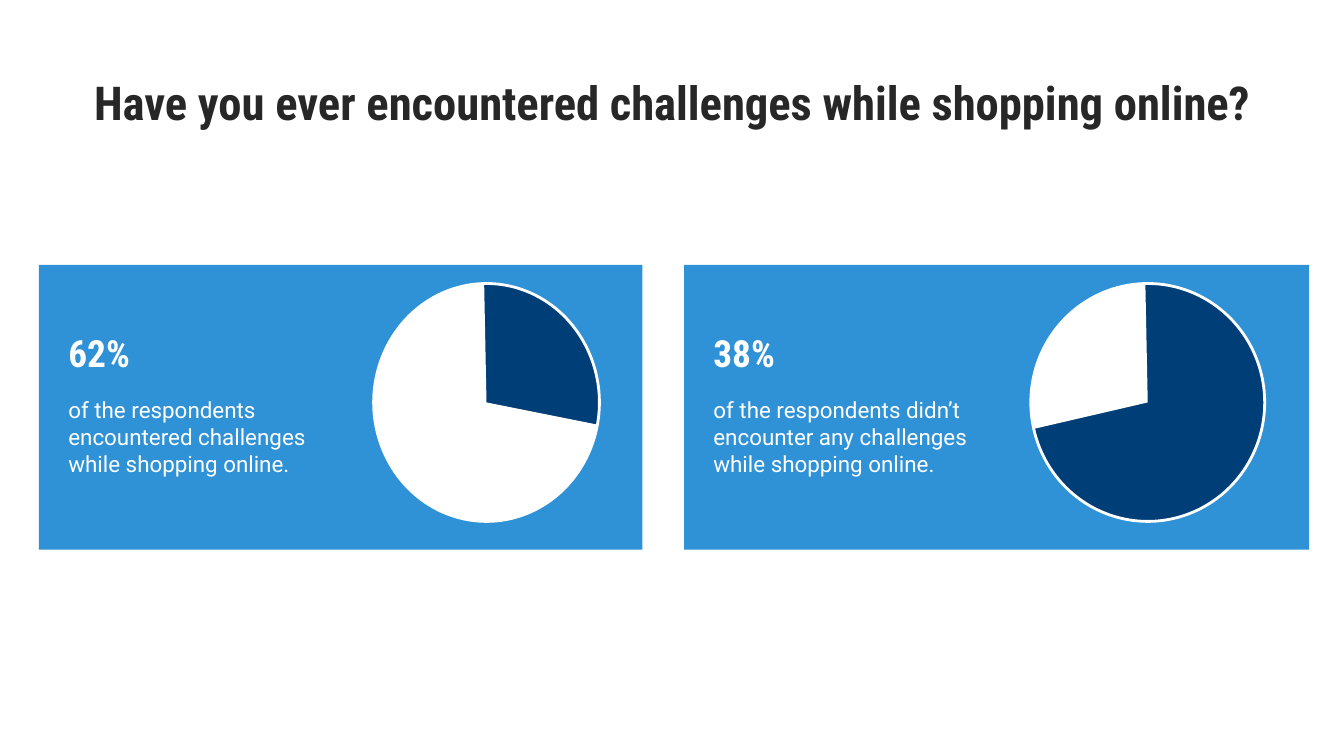
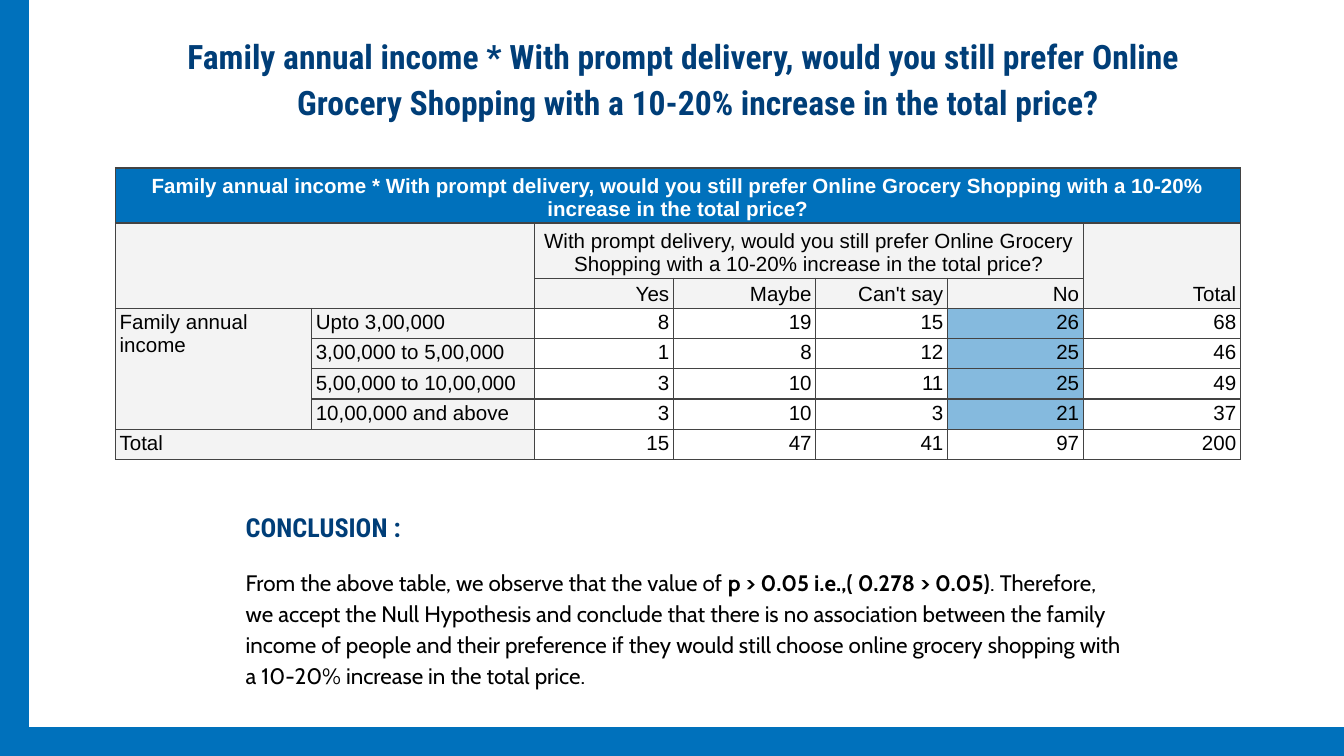
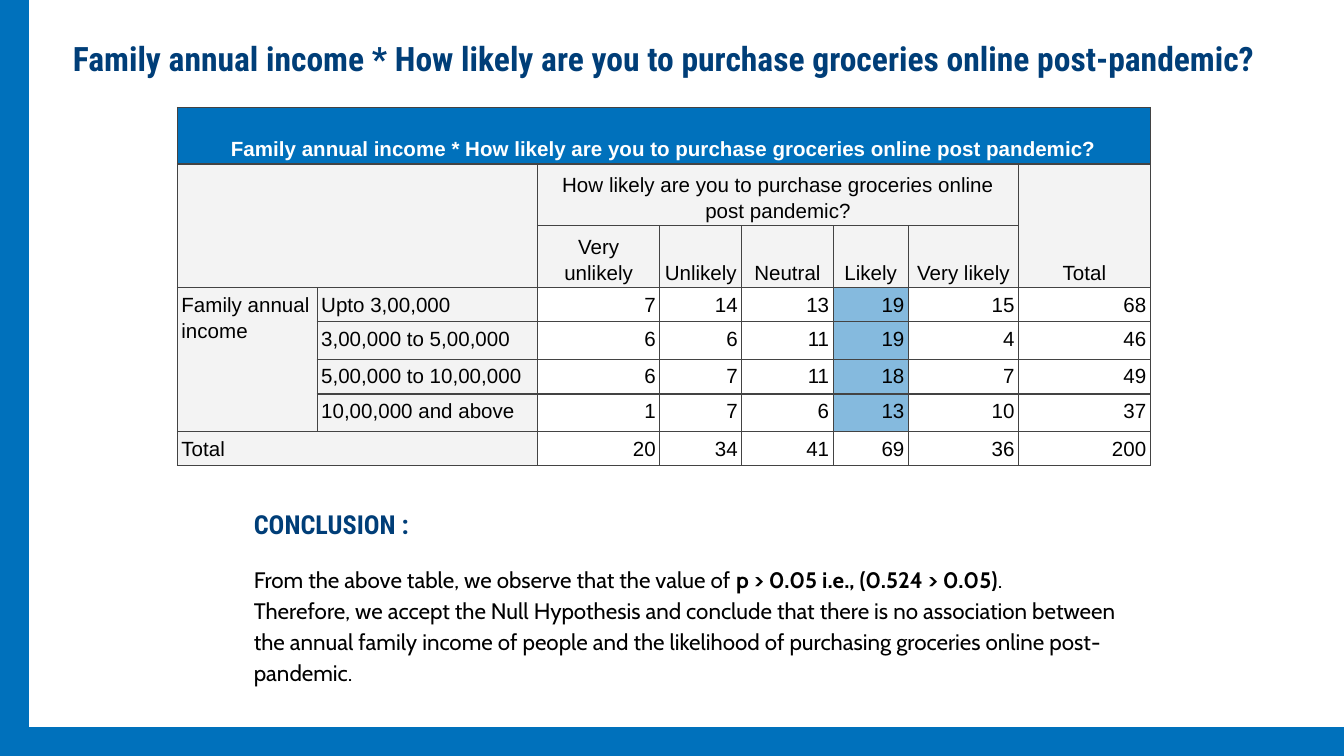
import pptx
import pptx.dml.color
import pptx.enum.shapes
import pptx.enum.text
import pptx.oxml
import pptx.oxml.ns
import pptx.util

Inches = pptx.util.Inches
Pt = pptx.util.Pt
ALIGN = pptx.enum.text.PP_ALIGN
ANCHOR = pptx.enum.text.MSO_ANCHOR
AUTO_SIZE = pptx.enum.text.MSO_AUTO_SIZE
SHAPE = pptx.enum.shapes.MSO_SHAPE

WIDTH = 10
HEIGHT = WIDTH * 9 / 16
BAND = 0.21
WHITE, BLACK, INK = "FFFFFF", "000000", "272727"
NAVY, BLUE, SKY, PALE_BLUE = "003E78", "0071BC", "2F91D6", "85BADE"
PALE_GREY, BORDER = "F3F3F3", "434343"
HEADING, BODY, PROSE, TABLE = "Roboto Condensed", "Roboto", "Cabin", "Arial"
INCOMES = ["Upto 3,00,000", "3,00,000 to 5,00,000", "5,00,000 to 10,00,000", "10,00,000 and above"]


def colour(value):
    return pptx.dml.color.RGBColor.from_string(value)


class Deck:
    def __init__(self):
        self.prs = pptx.Presentation()
        self.prs.slide_width = Inches(WIDTH)
        self.prs.slide_height = Inches(HEIGHT)
        self.slide = None

    def new_slide(self):
        self.slide = self.prs.slides.add_slide(self.prs.slide_layouts[5])

    def bands(self):
        for box in ((0, 0, BAND, HEIGHT), (BAND, HEIGHT - BAND, WIDTH - BAND, BAND)):
            self.shape(SHAPE.RECTANGLE, box, BLUE, BLUE, 0.75)

    def style(self, paragraph, font, size, ink, bold=False, align=ALIGN.LEFT, spacing=1.0):
        paragraph.alignment = align
        paragraph.line_spacing = spacing
        paragraph.font.name = font
        paragraph.font.size = Pt(size)
        paragraph.font.bold = bold
        paragraph.font.color.rgb = colour(ink)

    def frame(self, frame):
        frame.word_wrap = True
        frame.auto_size = AUTO_SIZE.NONE
        frame.vertical_anchor = ANCHOR.TOP
        frame.margin_left = frame.margin_right = Inches(0.1)
        frame.margin_top = frame.margin_bottom = Inches(0.1)
        return frame

    def title(self, box, lines, size, ink, spacing=1.0):
        heading = self.slide.shapes.title
        heading.left, heading.top, heading.width, heading.height = map(Inches, box)
        frame = self.frame(heading.text_frame)
        for index, (line, indent_left, indent_right) in enumerate(lines):
            paragraph = frame.add_paragraph() if index else frame.paragraphs[0]
            paragraph.text = line
            self.style(paragraph, HEADING, size, ink, True, ALIGN.CENTER, spacing)
            properties = paragraph._p.get_or_add_pPr()
            properties.set("marL", str(Inches(indent_left)))
            properties.set("marR", str(Inches(indent_right)))

    def shape(self, kind, box, fill, line=None, line_width=0):
        item = self.slide.shapes.add_shape(kind, *map(Inches, box))
        item.shadow.inherit = False
        item.fill.solid()
        item.fill.fore_color.rgb = colour(fill)
        if line:
            item.line.color.rgb = colour(line)
            item.line.width = Pt(line_width)
        else:
            item.line.fill.background()
        return item

    def text(self, box, words, **style):
        frame = self.frame(self.slide.shapes.add_textbox(*map(Inches, box)).text_frame)
        paragraph = frame.paragraphs[0]
        paragraph.text = words
        self.style(paragraph, **style)
        return frame

    def share_card(self, left, width, share, statement, pie_left, pie_width, pie_start):
        self.shape(SHAPE.RECTANGLE, (left, 1.97, width, 2.12), SKY)
        pie_box = (pie_left, 2.11, pie_width, 1.77)
        self.shape(SHAPE.OVAL, pie_box, NAVY, WHITE, 1.5)
        sector = self.shape(SHAPE.PIE, pie_box, WHITE)
        for index, degrees in enumerate((pie_start, 268.87)):
            sector.adjustments[index] = degrees * 0.6
        text_left, text_width = left + 0.12, width / 2
        self.text((text_left, 2.85, text_width + 0.03, 0.89), statement, font=BODY, size=12, ink=WHITE)
        figure = self.text((text_left, 2.31, text_width - 0.31, 0.65), share,
                           font=HEADING, size=20, ink=WHITE, bold=True, spacing=1.15)
        figure.paragraphs[0].space_after = Pt(16)

    def conclusion(self, left, top, paragraphs):
        frame = self.text((left, top, 6.75, 1.55), "CONCLUSION :",
                          font=HEADING, size=14, ink=NAVY, bold=True, spacing=1.15)
        frame.auto_size = AUTO_SIZE.SHAPE_TO_FIT_TEXT
        for index, runs in enumerate(paragraphs):
            paragraph = frame.add_paragraph()
            self.style(paragraph, PROSE, 12, BLACK, spacing=1.15)
            paragraph.space_before = Pt(0 if index else 12)
            for words, bold in runs:
                run = paragraph.add_run()
                run.text = words
                run.font.bold = bold

    def cell(self, cell, words, fill, align=ALIGN.LEFT, anchor=ANCHOR.TOP, spacing=1.0,
             ink=BLACK, bold=False):
        properties = cell._tc.get_or_add_tcPr()
        for side in ("L", "R", "T", "B"):
            properties.append(pptx.oxml.parse_xml(
                f'<a:ln{side} {pptx.oxml.ns.nsdecls("a")} w="{Pt(0.75)}"><a:solidFill>'
                f'<a:srgbClr val="{BORDER}"/></a:solidFill></a:ln{side}>'))
        cell.fill.solid()
        cell.fill.fore_color.rgb = colour(fill)
        cell.margin_left = cell.margin_right = Inches(0.03)
        cell.margin_top = cell.margin_bottom = Inches(0.02)
        cell.vertical_anchor = anchor
        cell.text = words
        self.style(cell.text_frame.paragraphs[0], TABLE, 11, ink, bold, align, spacing)

    def crosstab(self, left, top, widths, heights, heading, question, answers, counts,
                 highlighted, answer_align, spacing):
        table = self.slide.shapes.add_table(
            len(heights), len(widths), Inches(left), Inches(top),
            Inches(sum(widths)), Inches(sum(heights))).table
        table.first_row = table.horz_banding = False
        for column, width in zip(table.columns, widths):
            column.width = Inches(width)
        for row, height in zip(table.rows, heights):
            row.height = Inches(height)

        last = len(widths) - 1
        with_totals = [row + [sum(row)] for row in counts]
        with_totals.append([sum(column) for column in zip(*with_totals)])
        grid = [
            [heading] + [""] * last,
            ["", "", question] + [""] * (last - 3) + ["Total"],
            ["", ""] + answers + [""],
        ]
        for index, numbers in enumerate(with_totals):
            labels = ["" if index else "Family annual income", INCOMES[index]] \
                if index < len(INCOMES) else ["Total", ""]
            grid.append(labels + [str(number) for number in numbers])

        for r, row in enumerate(grid):
            for c, words in enumerate(row):
                if r == 0:
                    look = dict(fill=BLUE, ink=WHITE, bold=True, align=ALIGN.CENTER, anchor=ANCHOR.BOTTOM)
                elif r < 3:
                    centred = r == 1 and c < last
                    look = dict(fill=PALE_GREY, align=ALIGN.CENTER if centred else answer_align,
                                anchor=ANCHOR.BOTTOM)
                elif c < 2:
                    look = dict(fill=PALE_GREY)
                else:
                    marked = answers.index(highlighted) + 2 == c and r < len(grid) - 1
                    look = dict(fill=PALE_BLUE if marked else WHITE, align=ALIGN.RIGHT)
                self.cell(table.cell(r, c), words, spacing=spacing, **look)

        bottom = len(grid) - 1
        for first, end in (((0, 0), (0, last)), ((1, 0), (2, 1)), ((1, 2), (1, last - 1)),
                           ((1, last), (2, last)), ((3, 0), (bottom - 1, 0)),
                           ((bottom, 0), (bottom, 1))):
            table.cell(*first).merge(table.cell(*end))


def main():
    deck = Deck()

    deck.new_slide()
    deck.title((0.5, 0.45, 9, 0.54),
               [("Have you ever encountered challenges while shopping online?", 0, 0)], 25, INK)
    deck.share_card(0.29, 4.49, "62%",
                    "of the respondents encountered challenges while shopping online.",
                    2.78, 1.68, 11.33)
    deck.share_card(5.09, 4.65, "38%",
                    "of the respondents didn’t encounter any challenges while shopping online.",
                    7.67, 1.74, 166.91)

    observed = "From the above table, we observe that the value of "

    deck.new_slide()
    deck.title((0.61, 0.12, 9, 0.54), [
        ("Family annual income * With prompt delivery, would you still prefer Online", 0, 0.05),
        ("Grocery Shopping with a 10-20% increase in the total price?", 0.17, 0),
    ], 18, NAVY, 1.15)
    deck.conclusion(1.73, 3.67, [[
        (observed, False),
        ("p > 0.05 i.e.,( 0.278 > 0.05)", True),
        (". Therefore, we accept the Null Hypothesis and conclude that there is no association "
         "between the family income of people and their preference if they would still choose "
         "online grocery shopping with a 10-20% increase in the total price.", False),
    ]])
    deck.bands()
    delivery = ("With prompt delivery, would you still prefer Online Grocery Shopping "
                "with a 10-20% increase in the total price?")
    deck.crosstab(
        0.86, 1.25, [1.46, 1.66, 1.03, 1.06, 0.98, 1.01, 1.17], [0.41] * 2 + [1.35 / 6] * 6,
        "Family annual income * " + delivery, delivery,
        ["Yes", "Maybe", "Can't say", "No"],
        [[8, 19, 15, 26], [1, 8, 12, 25], [3, 10, 11, 25], [3, 10, 3, 21]],
        "No", ALIGN.RIGHT, 1.0)

    deck.new_slide()
    deck.title((0.18, 0.18, 9.65, 0.54), [
        ("Family annual income * How likely are you to purchase groceries online post-pandemic?", 0, 0.13),
    ], 18, NAVY)
    deck.conclusion(1.79, 3.65, [
        [(observed, False), ("p > 0.05 i.e., (0.524 > 0.05)", True), (".", False)],
        [("Therefore, we accept the Null Hypothesis and conclude that there is no association "
          "between the annual family income of people and the likelihood of purchasing "
          "groceries online post-pandemic.", False)],
    ])
    deck.bands()
    likelihood = "How likely are you to purchase groceries online post pandemic?"
    deck.crosstab(
        1.32, 0.8, [1.04, 1.64, 0.91, 0.61, 0.68, 0.56, 0.82, 0.98],
        [0.42, 0.46, 0.46, 0.25, 0.28, 0.26, 0.28, 0.25],
        "Family annual income * " + likelihood, likelihood,
        ["Very unlikely", "Unlikely", "Neutral", "Likely", "Very likely"],
        [[7, 14, 13, 19, 15], [6, 6, 11, 19, 4], [6, 7, 11, 18, 7], [1, 7, 6, 13, 10]],
        "Likely", ALIGN.CENTER, 1.15)

    deck.prs.save("out.pptx")


if __name__ == "__main__":
    main()
